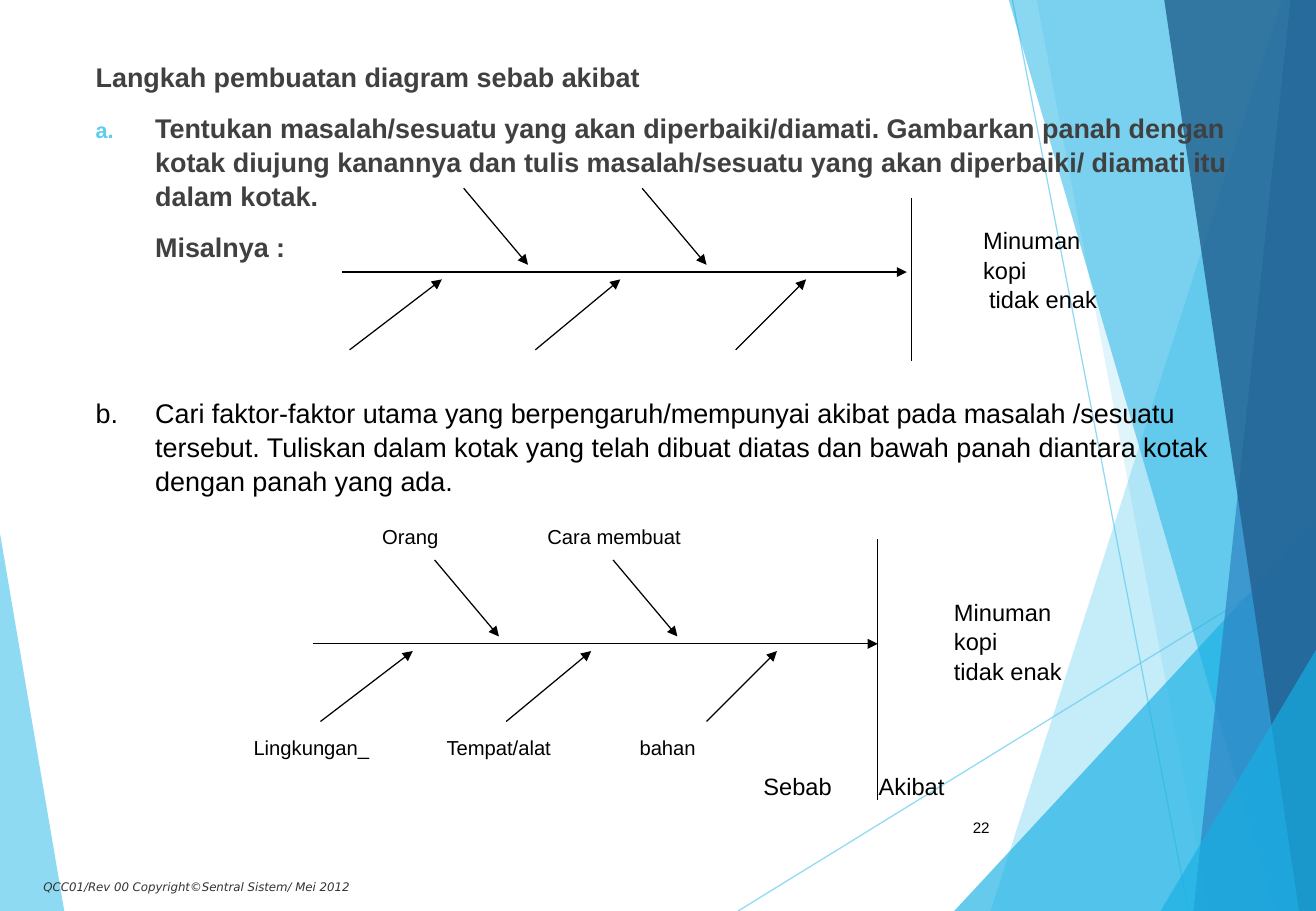
from lxml import etree
from pptx import Presentation
from pptx.dml.color import RGBColor
from pptx.enum.shapes import MSO_CONNECTOR
from pptx.enum.text import MSO_ANCHOR, PP_ALIGN
from pptx.oxml.ns import qn
from pptx.util import Inches, Pt

WIDTH, HEIGHT = 10.84, 7.5
INDENT = 0.49
LINE_SPACING = 1.05
BLACK, GREY, SKY = "000000", "404040", "5FCBEF"

# Background facets: colour, opacity in percent, corners in inches
LEFT_FACET = (SKY, 70, [(0, 4.39), (0.53, HEIGHT), (0, HEIGHT)])
RIGHT_FACETS = [
    (SKY, 36, [(10.56, 0), (8.16, HEIGHT), (WIDTH, HEIGHT), (WIDTH, 0)]),
    (SKY, 20, [(8.54, 0), (9.96, HEIGHT), (WIDTH, HEIGHT), (WIDTH, 0)]),
    ("17B0E4", 66, [(7.86, HEIGHT), (WIDTH, 4.29), (WIDTH, HEIGHT)]),
    ("17B0E4", 50, [(8.31, 0), (10.5, HEIGHT), (WIDTH, HEIGHT), (WIDTH, 0)]),
    ("2E83C3", 70, [(10.63, 0), (9.83, HEIGHT), (WIDTH, HEIGHT), (WIDTH, 0)]),
    ("236292", 82, [(9.59, 0), (10.7, HEIGHT), (WIDTH, HEIGHT), (WIDTH, 0)]),
    ("17B0E4", 66, [(9.56, HEIGHT), (WIDTH, 5.35), (WIDTH, HEIGHT)]),
]
FACET_LINES = [((6.08, HEIGHT), (WIDTH, 4.57)), ((8.34, 0), (9.79, HEIGHT))]

HEADING = "Langkah pembuatan diagram sebab akibat"
STEP_A = ("Tentukan masalah/sesuatu yang akan diperbaiki/diamati. Gambarkan panah dengan "
          "kotak diujung kanannya dan tulis masalah/sesuatu yang akan diperbaiki/ diamati "
          "itu dalam kotak.")
EXAMPLE = "Misalnya :"
STEP_B = ("b.\tCari faktor-faktor utama yang berpengaruh/mempunyai akibat pada masalah "
          "/sesuatu tersebut. Tuliskan dalam kotak yang telah dibuat diatas dan bawah "
          "panah diantara kotak dengan panah yang ada.")
FOOTER = "QCC01/Rev 00 Copyright©Sentral Sistem/ Mei 2012"
PAGE_NUMBER = "22"
EFFECT = ["Minuman kopi", "tidak enak"]

# Fishbone geometry, measured from the left end of the spine
SPINE_LENGTH = 4.65
UPPER_BONES = [(1.0, 1.53), (2.47, 3.0)]
LOWER_BONES = [(0.06, 0.82), (1.59, 2.29), (3.24, 3.82)]
UPPER_REACH, LOWER_REACH, BONE_GAP = 0.69, 0.64, 0.06
EFFECT_OFFSET = (5.18, -0.14)
LABEL_WIDTH, LABEL_HEIGHT = 1.24, 0.23

# Spine start, divider (x, top, bottom), indent of the second effect line
FISHBONES = [
    ((2.82, 2.24), (4.69, -0.61, 0.73), 0.05),
    ((2.58, 5.3), (4.65, -0.86, 1.29), 0),
]
# Labels of the second fishbone: text, x, y, width, size
CAUSE_LABELS = [
    ("Orang", 0.47, -1.0, 1.06, 12),
    ("Cara membuat", 1.83, -1.0, 1.3, 12),
    *[(text, -0.59 + 1.59 * column, 0.73, LABEL_WIDTH, 12)
      for column, text in enumerate(["Lingkungan_", "Tempat/alat", "bahan"])],
    ("Sebab", 3.61, 1.05, LABEL_WIDTH, 14),
    ("Akibat", 4.56, 1.05, LABEL_WIDTH, 14),
]


def paint(color_format, color, opacity=100):
    color_format.fore_color.rgb = RGBColor.from_string(color)
    if opacity < 100:
        color_element = next(color_format._xPr.iter(qn("a:srgbClr")))
        etree.SubElement(color_element, qn("a:alpha"), val=str(opacity * 1000))


def add_facet(slide, color, opacity, corners):
    points = [(Inches(x), Inches(y)) for x, y in corners]
    builder = slide.shapes.build_freeform(*points[0])
    builder.add_line_segments(points[1:], close=True)
    shape = builder.convert_to_shape()
    shape.shadow.inherit = False
    shape.fill.solid()
    paint(shape.fill, color, opacity)
    shape.line.fill.background()


def add_line(slide, start, end, color=BLACK, opacity=100, arrow=False):
    ends = [Inches(value) for value in (*start, *end)]
    connector = slide.shapes.add_connector(MSO_CONNECTOR.STRAIGHT, *ends)
    connector.line.width = Pt(0.75)
    connector.line.fill.solid()
    paint(connector.line.fill, color, opacity)
    if arrow:
        etree.SubElement(connector.line._get_or_add_ln(), qn("a:tailEnd"), type="triangle")
    etree.SubElement(connector._element.spPr, qn("a:effectLst"))


def add_text(slide, box, lines, color=BLACK, anchor=MSO_ANCHOR.TOP, wrap=True, **font):
    """Add a text box and return its paragraphs, one for each line."""
    shape = slide.shapes.add_textbox(*[Inches(value) for value in box])
    frame = shape.text_frame
    frame.word_wrap = wrap
    frame.vertical_anchor = anchor
    frame.text = "\n".join(lines)
    for paragraph in frame.paragraphs:
        paragraph.line_spacing = LINE_SPACING
        for run in paragraph.runs:
            run.font.color.rgb = RGBColor.from_string(color)
            for name, value in {"name": "Arial", **font}.items():
                setattr(run.font, name, value)
    return frame.paragraphs


def set_indent(paragraph, left, first=0):
    properties = paragraph._p.get_or_add_pPr()
    properties.set("marL", str(Inches(left)))
    properties.set("indent", str(Inches(first)))
    return properties


def add_letter_bullet(properties):
    color = etree.SubElement(properties, qn("a:buClr"))
    etree.SubElement(color, qn("a:srgbClr"), val=SKY)
    etree.SubElement(properties, qn("a:buSzPct"), val="80000")
    etree.SubElement(properties, qn("a:buAutoNum"), type="alphaLcPeriod")


def add_label(slide, x, y, width, lines, size):
    return add_text(slide, (x, y, width, LABEL_HEIGHT), lines, size=Pt(size),
                    anchor=MSO_ANCHOR.MIDDLE, wrap=False)


def add_fishbone(slide, origin, divider, effect_indent):
    left, spine = origin
    add_line(slide, origin, (left + SPINE_LENGTH, spine), arrow=True)
    x, top, bottom = divider
    add_line(slide, (left + x, spine + top), (left + x, spine + bottom))
    for bones, side, reach in ((UPPER_BONES, -1, UPPER_REACH), (LOWER_BONES, 1, LOWER_REACH)):
        for start, end in bones:
            add_line(slide, (left + start, spine + side * reach),
                     (left + end, spine + side * BONE_GAP), arrow=True)
    x, y = EFFECT_OFFSET
    effect = add_label(slide, left + x, spine + y, LABEL_WIDTH, EFFECT, 14)
    set_indent(effect[1], effect_indent)


def main():
    presentation = Presentation()
    presentation.slide_width, presentation.slide_height = Inches(WIDTH), Inches(HEIGHT)
    slide = presentation.slides.add_slide(presentation.slide_layouts[6])

    add_facet(slide, *LEFT_FACET)
    for start, end in FACET_LINES:
        add_line(slide, start, end, SKY, 70)
    for facet in RIGHT_FACETS:
        add_facet(slide, *facet)

    add_text(slide, (0.26, 7.19, 5.52, 0.15), [FOOTER], "333333",
             name="DejaVu Sans", size=Pt(7), italic=True)
    heading, step_a, example = add_text(slide, (0.69, 0.44, 9.84, 2.76),
                                        [HEADING, STEP_A, EXAMPLE], GREY,
                                        size=Pt(16), bold=True)
    set_indent(heading, INDENT, -INDENT)
    set_indent(example, INDENT)
    for paragraph in (step_a, example):
        paragraph.space_before = Pt(10)
    add_letter_bullet(set_indent(step_a, INDENT, -INDENT))

    page_number, = add_text(slide, (7.64, 6.61, 0.61, 0.4), [PAGE_NUMBER],
                            anchor=MSO_ANCHOR.MIDDLE, size=Pt(9))
    page_number.alignment = PP_ALIGN.RIGHT

    for fishbone in FISHBONES:
        add_fishbone(slide, *fishbone)
    left, spine = FISHBONES[1][0]
    for text, x, y, width, size in CAUSE_LABELS:
        add_label(slide, left + x, spine + y, width, [text], size)

    step_b, = add_text(slide, (0.69, 3.2, 9.39, 2.76), [STEP_B], size=Pt(16))
    set_indent(step_b, INDENT, -INDENT)
    presentation.save("out.pptx")


if __name__ == "__main__":
    main()
